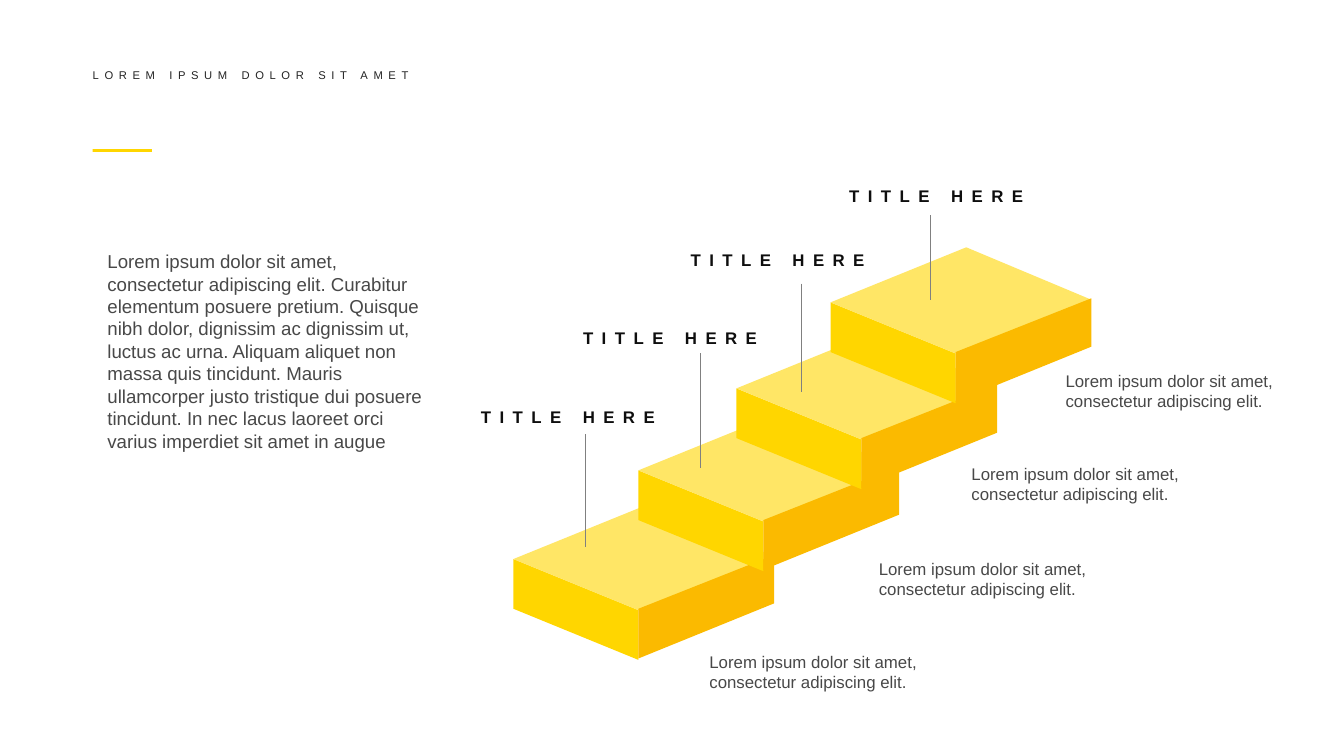
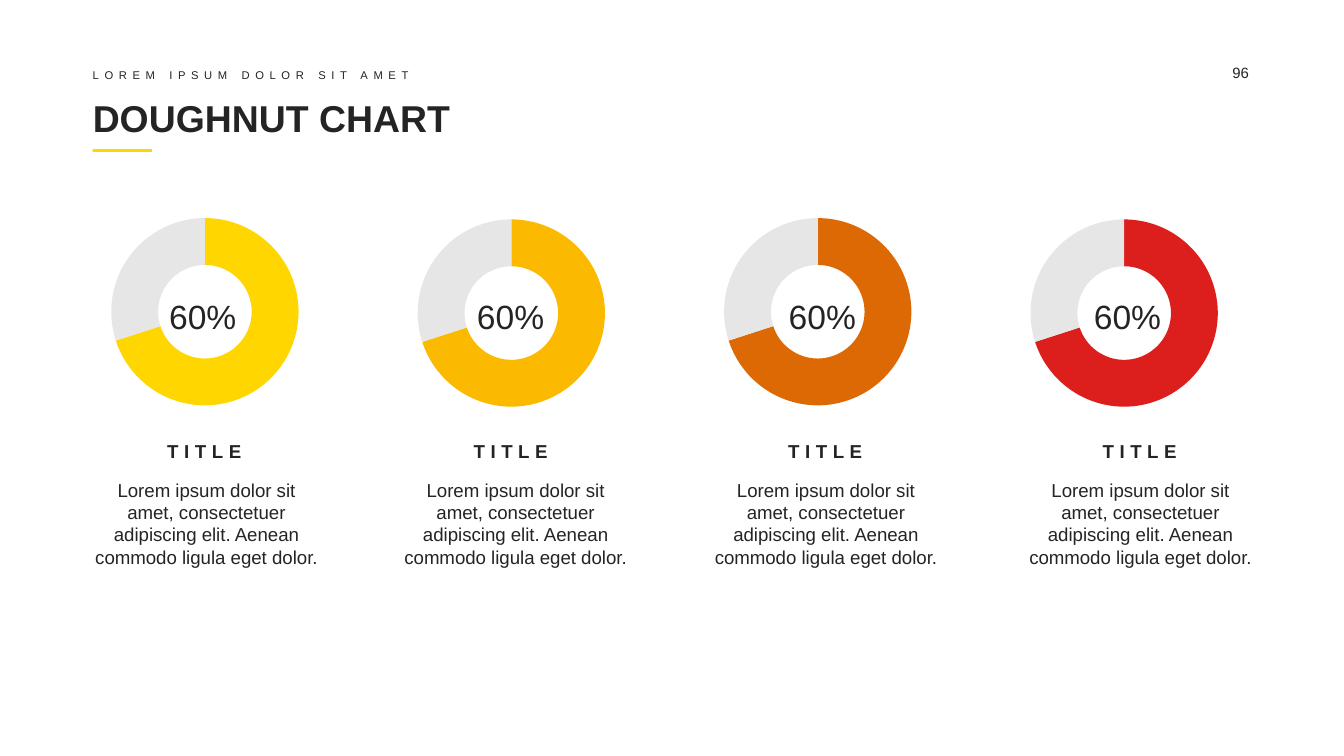
"""Builds a staircase infographic slide and a doughnut chart slide."""
from dataclasses import dataclass

from lxml.etree import SubElement
from pptx import Presentation
from pptx.chart.data import CategoryChartData
from pptx.dml.color import RGBColor
from pptx.enum.chart import XL_CHART_TYPE
from pptx.enum.shapes import MSO_CONNECTOR, MSO_SHAPE
from pptx.enum.text import MSO_ANCHOR, MSO_AUTO_SIZE, PP_ALIGN
from pptx.oxml.ns import qn
from pptx.util import Inches, Pt

Point = tuple[float, float]
Box = tuple[float, float, float, float]

FONT = "Arial"
SLIDE_WIDTH = 10
SLIDE_HEIGHT = SLIDE_WIDTH * 9 / 16
COLORS = {
    "yellow": "FFD600",
    "pale": "FFE666",
    "amber": "FBBA00",
    "orange": "DD6904",
    "red": "DC1F1C",
    "track": "E7E6E6",
    "ink": "242424",
    "black": "0E0E0E",
    "body": "484848",
    "pointer": "808080",
}
STANDARD_INSETS = (0.1, 0.05, 0.1, 0.05)
NO_INSETS = (0, 0, 0, 0)
KICKER = "LOREM IPSUM DOLOR SIT AMET"
STEP_TITLE = "TITLE HERE"
STEP_CAPTION = "Lorem ipsum dolor sit amet, consectetur adipiscing elit."
STAIRS_INTRO = (
    "Lorem ipsum dolor sit amet, consectetur adipiscing elit. Curabitur elementum "
    "posuere pretium. Quisque nibh dolor, dignissim ac dignissim ut, luctus ac urna. "
    "Aliquam aliquet non massa quis tincidunt. Mauris ullamcorper justo tristique dui "
    "posuere tincidunt. In nec lacus laoreet orci varius imperdiet sit amet in augue"
)
GAUGE_CAPTION = (
    "Lorem ipsum dolor sit amet, consectetuer adipiscing elit. "
    "Aenean commodo ligula eget dolor."
)
STEP_FACES = {
    "yellow": [(0.93, 1.16), (0, 0.78), (0, 0.41), (0.93, 0.79)],
    "pale": [(0.93, 0.79), (0, 0.41), (1.01, 0), (1.94, 0.39)],
    "amber": [(1.94, 0.38), (1.94, 0.74), (0.93, 1.15), (0.93, 0.78)],
}


@dataclass(frozen=True)
class Step:
    """One stair with its title, caption and pointer line."""

    corner: Point
    title: Point
    caption: Point
    pointer_x: float
    pointer_top: float
    pointer_bottom: float


@dataclass(frozen=True)
class Gauge:
    """One doughnut with its percentage, title and caption."""

    color: str
    chart_top: float
    percent_left: float
    title_left: float
    caption_left: float
    caption_width: float


STEPS = [
    Step((3.82, 3.75), (3.48, 2.98), (5.18, 4.8), 4.36, 3.23, 4.07),
    Step((4.75, 3.09), (4.24, 2.39), (6.44, 4.11), 5.21, 2.63, 3.48),
    Step((5.48, 2.48), (5.04, 1.81), (7.13, 3.4), 5.96, 2.11, 2.92),
    Step((6.18, 1.84), (6.22, 1.33), (7.83, 2.71), 6.92, 1.6, 2.23),
]
GAUGES = [
    Gauge("yellow", 1.47, 1.16, 1.22, 0.69, 1.69),
    Gauge("amber", 1.48, 3.45, 3.5, 2.99, 1.69),
    Gauge("orange", 1.47, 5.77, 5.84, 5.31, 1.67),
    Gauge("red", 1.48, 8.04, 8.18, 7.65, 1.67),
]


def rgb(name: str) -> RGBColor:
    """Return the named palette colour."""
    return RGBColor.from_string(COLORS[name])


def write(shape, text: str, *, size: float, color: str, bold: bool = False,
          spacing: float = 0, align=PP_ALIGN.LEFT, anchor=MSO_ANCHOR.TOP,
          insets: Box = STANDARD_INSETS, wrap: bool = True, grow: bool = True) -> None:
    """Fill a shape with one formatted paragraph."""
    frame = shape.text_frame
    frame.word_wrap = wrap
    frame.auto_size = MSO_AUTO_SIZE.SHAPE_TO_FIT_TEXT if grow else MSO_AUTO_SIZE.NONE
    frame.vertical_anchor = anchor
    (frame.margin_left, frame.margin_top,
     frame.margin_right, frame.margin_bottom) = map(Inches, insets)
    para = frame.paragraphs[0]
    para.alignment = align
    span = para.add_run()
    span.text = text
    span.font.name = FONT
    span.font.size = Pt(size)
    span.font.bold = bold
    span.font.color.rgb = rgb(color)
    if spacing:
        span._r.get_or_add_rPr().set("spc", str(int(spacing * 100)))


def add_text(page, at: Box, text: str, **style) -> None:
    """Add a text box with one formatted paragraph."""
    write(page.shapes.add_textbox(*map(Inches, at)), text, **style)


def paint(shape, color: str) -> None:
    """Give a shape a flat fill with no line or shadow."""
    shape.shadow.inherit = False
    shape.fill.solid()
    shape.fill.fore_color.rgb = rgb(color)
    shape.line.fill.background()


def add_header(page) -> None:
    """Draw the small heading and accent bar shared by the slides."""
    bar = page.shapes.add_shape(
        MSO_SHAPE.RECTANGLE, *map(Inches, (0.69, 1.11, 0.44, 0.02)))
    paint(bar, "yellow")
    add_text(page, (0.69, 0.51, 7.17, 0.1), KICKER, size=6, color="ink",
             spacing=3, anchor=MSO_ANCHOR.MIDDLE, insets=NO_INSETS)


def add_block(page, corner: Point) -> None:
    """Draw the three faces of a stair as a group."""
    group = page.shapes.add_group_shape()
    left, top = corner
    for color, face in STEP_FACES.items():
        points = [(Inches(left + x), Inches(top + y)) for x, y in face]
        builder = group.shapes.build_freeform(*points[0])
        builder.add_line_segments(points[1:], close=True)
        paint(builder.convert_to_shape(), color)


def add_pointer(page, x: float, top: float, bottom: float) -> None:
    """Draw a thin vertical line from a title to its stair."""
    line = page.shapes.add_connector(
        MSO_CONNECTOR.STRAIGHT, *map(Inches, (x, top, x, bottom)))
    line.line.color.rgb = rgb("pointer")
    line.line.width = Pt(0.5)
    SubElement(line._element.spPr, qn("a:effectLst"))


def place_plot(chart, at: Box) -> None:
    """Fix the plot area as fractions of the chart frame."""
    plot_area = chart._chartSpace.chart.plotArea
    for old_layout in plot_area.findall(qn("c:layout")):
        plot_area.remove(old_layout)
    layout = SubElement(plot_area, qn("c:layout"))
    plot_area.insert(0, layout)
    manual = SubElement(layout, qn("c:manualLayout"))
    settings = {"layoutTarget": "inner", "xMode": "edge", "yMode": "edge"}
    settings.update(zip("xywh", map(str, at)))
    for tag, value in settings.items():
        SubElement(manual, qn(f"c:{tag}")).set("val", value)


def add_doughnut(page, at: Box, color: str) -> None:
    """Add a two-part doughnut chart."""
    data = CategoryChartData()
    data.categories = ["1", "2"]
    data.add_series("Series 1", (70, 30))
    chart = page.shapes.add_chart(
        XL_CHART_TYPE.DOUGHNUT, *map(Inches, at), data).chart
    chart.has_legend = False
    chart.has_title = False
    chart.font.name = FONT
    chart.font.size = Pt(18)
    chart.font.color.rgb = rgb("body")
    plot = chart.plots[0]
    plot.vary_by_categories = True
    plot.has_data_labels = False
    plot._element.find(qn("c:holeSize")).set("val", "75")
    for index, name in enumerate((color, "track")):
        part = plot.series[0].points[index].format
        part.fill.solid()
        part.fill.fore_color.rgb = rgb(name)
        part.line.fill.background()
    place_plot(chart, (0.08, 0.09, 0.84, 0.82))


def build_stairs(deck) -> None:
    """Build the staircase slide."""
    page = deck.slides.add_slide(deck.slide_layouts[6])
    add_header(page)
    for step in STEPS:
        add_block(page, step.corner)
    for step in STEPS:
        add_text(page, (*step.caption, 1.89, 0.4), STEP_CAPTION, size=9, color="body")
        add_pointer(page, step.pointer_x, step.pointer_top, step.pointer_bottom)
        add_text(page, (*step.title, 1.61, 0.25), STEP_TITLE, size=9,
                 color="black", bold=True, spacing=4.5, wrap=False)
    add_text(page, (0.73, 1.82, 2.53, 2.45), STAIRS_INTRO, size=10, color="body",
             insets=(0.07, 0.04, 0.07, 0.04), grow=False)


def build_doughnuts(deck) -> None:
    """Build the doughnut chart slide."""
    page = deck.slides.add_slide(deck.slide_layouts[5])
    add_header(page)
    title = page.shapes.title
    title.left, title.top, title.width, title.height = map(
        Inches, (0.69, 0.69, 8.62, 0.37))
    write(title, "DOUGHNUT CHART", size=20, color="ink", bold=True,
          anchor=MSO_ANCHOR.MIDDLE, insets=NO_INSETS, grow=False)
    add_text(page, (9.17, 0.47, 0.43, 0.16), "96", size=8, color="ink",
             insets=NO_INSETS, grow=False)
    for index, gauge in enumerate(GAUGES):
        add_doughnut(page, (0.69 + 2.28 * index, gauge.chart_top, 1.67, 1.7), gauge.color)
        add_text(page, (gauge.percent_left, 2.15, 0.71, 0.4), "60%",
                 size=18, color="ink", wrap=False)
        add_text(page, (gauge.title_left, 3.27, 0.6, 0.17), "TITLE", size=10,
                 color="ink", bold=True, spacing=3, align=PP_ALIGN.CENTER,
                 insets=NO_INSETS, wrap=False)
        add_text(page, (gauge.caption_left, 3.56, gauge.caption_width, 0.67),
                 GAUGE_CAPTION, size=10, color="ink", align=PP_ALIGN.CENTER,
                 insets=NO_INSETS)


def main() -> None:
    """Build and save the deck."""
    deck = Presentation()
    deck.slide_width, deck.slide_height = Inches(SLIDE_WIDTH), Inches(SLIDE_HEIGHT)
    build_stairs(deck)
    build_doughnuts(deck)
    deck.save("out.pptx")


if __name__ == "__main__":
    main()
